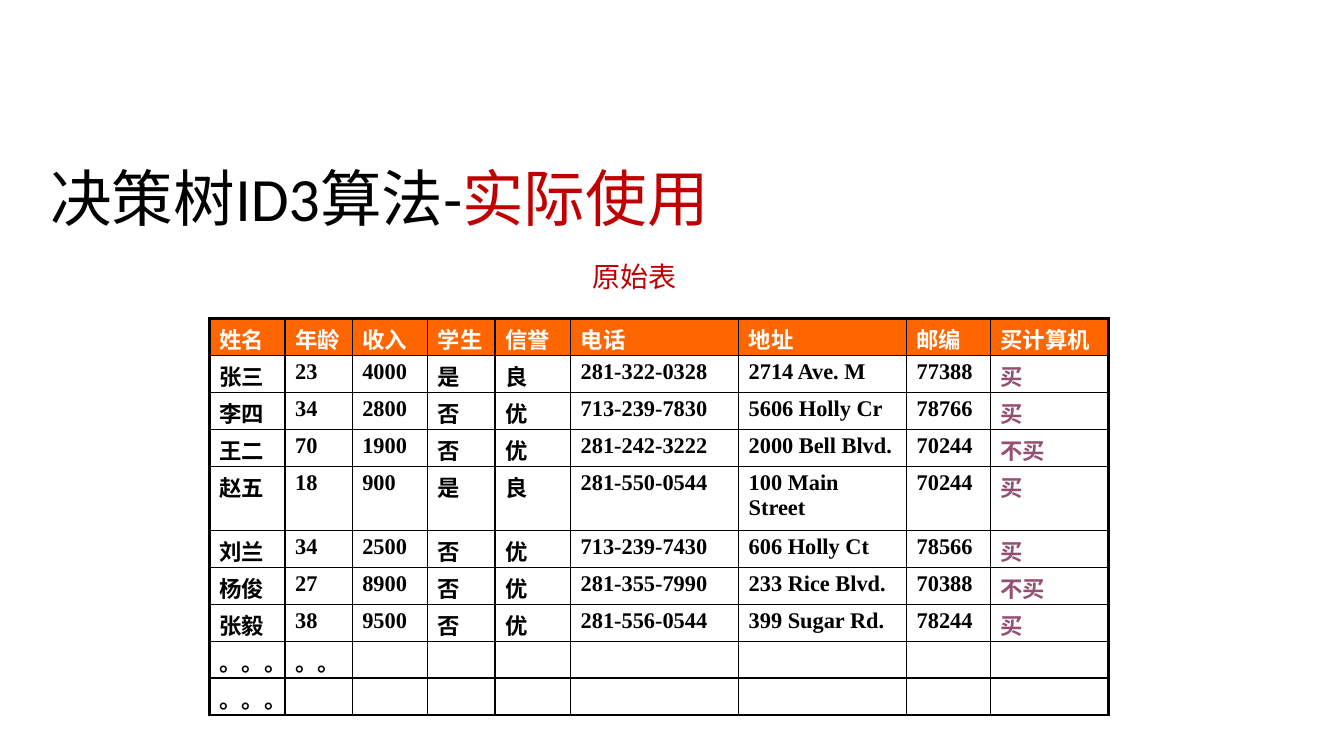
from lxml.etree import SubElement
from pptx import Presentation
from pptx.dml.color import RGBColor
from pptx.enum.text import MSO_ANCHOR, MSO_AUTO_SIZE, PP_ALIGN
from pptx.oxml.ns import qn
from pptx.util import Pt

BLACK = RGBColor(0x00, 0x00, 0x00)
WHITE = RGBColor(0xFF, 0xFF, 0xFF)
RED = RGBColor(0xC0, 0x00, 0x00)
ORANGE = RGBColor(0xFF, 0x66, 0x00)
PURPLE = RGBColor(0x95, 0x4F, 0x72)

TITLE = [("决策树ID3算法-", BLACK), ("实际使用", RED)]
CAPTION = "原始表"
HEADER = ("姓名", "年龄", "收入", "学生", "信誉", "电话", "地址", "邮编", "买计算机")
CUSTOMERS = [
    ("张三", "23", "4000", "是", "良", "281-322-0328", "2714 Ave. M", "77388", "买"),
    ("李四", "34", "2800", "否", "优", "713-239-7830", "5606 Holly Cr", "78766", "买"),
    ("王二", "70", "1900", "否", "优", "281-242-3222", "2000 Bell Blvd.", "70244", "不买"),
    ("赵五", "18", "900", "是", "良", "281-550-0544", "100 Main Street", "70244", "买"),
    ("刘兰", "34", "2500", "否", "优", "713-239-7430", "606 Holly Ct", "78566", "买"),
    ("杨俊", "27", "8900", "否", "优", "281-355-7990", "233 Rice Blvd.", "70388", "不买"),
    ("张毅", "38", "9500", "否", "优", "281-556-0544", "399 Sugar Rd.", "78244", "买"),
    ("。。。", "。。") + ("",) * 7,
    ("。。。",) + ("",) * 8,
]
COL_WIDTHS = (54, 48, 54, 48, 54, 120, 120, 60, 84)
ROW_HEIGHT, TALL_HEIGHT, TALL_ROW = 26.4, 45.7, 4
TABLE_LEFT, TABLE_TOP = 149.6, 227.5
CELL_MARGINS = {"margin_top": Pt(3.1), "margin_bottom": Pt(0)}
OUTER, INNER = 2.25, 1


def add_run(p, text, size, color, name="Calibri", bold=False):
    r = p.add_run()
    r.text = text
    for key, value in dict(size=Pt(size), name=name, bold=bold).items():
        setattr(r.font, key, value)
    r.font.color.rgb = color


def set_borders(cell, widths):
    """Draw black borders; widths are in points, for left, right, top, bottom."""
    tc_pr = cell._tc.get_or_add_tcPr()
    for i, (side, width) in enumerate(zip("LRTB", widths)):
        ln = SubElement(tc_pr, qn(f"a:ln{side}"), w=str(Pt(width)))
        fill = SubElement(ln, qn("a:solidFill"))
        SubElement(fill, qn("a:srgbClr"), val=str(BLACK))
        tc_pr.insert(i, ln)


def add_title(slide):
    s = slide.shapes.title
    s.left, s.top, s.width, s.height = Pt(28.8), Pt(91.5), Pt(828), Pt(104.4)
    tf = s.text_frame
    tf.auto_size = MSO_AUTO_SIZE.NONE
    tf.vertical_anchor = MSO_ANCHOR.MIDDLE
    p = tf.paragraphs[0]
    p.alignment = PP_ALIGN.LEFT
    p.line_spacing = 0.9
    for text, color in TITLE:
        add_run(p, text, 44, color)


def add_caption(slide):
    s = slide.shapes.add_textbox(Pt(416.2), Pt(181.8), Pt(74.9), Pt(31.7))
    s.text_frame.word_wrap = False
    s.text_frame.auto_size = MSO_AUTO_SIZE.SHAPE_TO_FIT_TEXT
    add_run(s.text_frame.paragraphs[0], CAPTION, 20, RED)


def add_customer_table(slide):
    rows = [HEADER] + CUSTOMERS
    heights = [TALL_HEIGHT if i == TALL_ROW else ROW_HEIGHT for i in range(len(rows))]
    last_row, last_col = len(rows) - 1, len(HEADER) - 1
    table = slide.shapes.add_table(
        len(rows), len(HEADER), Pt(TABLE_LEFT), Pt(TABLE_TOP),
        Pt(sum(COL_WIDTHS)), Pt(sum(heights))).table
    table.horz_banding = False
    for col, width in zip(table.columns, COL_WIDTHS):
        col.width = Pt(width)
    for row, height in zip(table.rows, heights):
        row.height = Pt(height)

    for i, values in enumerate(rows):
        for j, text in enumerate(values):
            cell = table.cell(i, j)
            for key, value in CELL_MARGINS.items():
                setattr(cell, key, value)
            if i == 0:
                cell.fill.solid()
                cell.fill.fore_color.rgb = ORANGE
                color = WHITE
            else:
                cell.fill.background()
                color = PURPLE if j == last_col else BLACK
            add_run(cell.text_frame.paragraphs[0], text, 16, color, "Times New Roman", True)
            on_edge = (j == 0, j == last_col, i == 0, i == last_row)
            set_borders(cell, [OUTER if edge else INNER for edge in on_edge])


def main():
    prs = Presentation()
    prs.slide_width, prs.slide_height = Pt(960), Pt(540)
    slide = prs.slides.add_slide(prs.slide_layouts[5])
    add_customer_table(slide)
    add_caption(slide)
    add_title(slide)
    prs.save("out.pptx")


if __name__ == "__main__":
    main()
